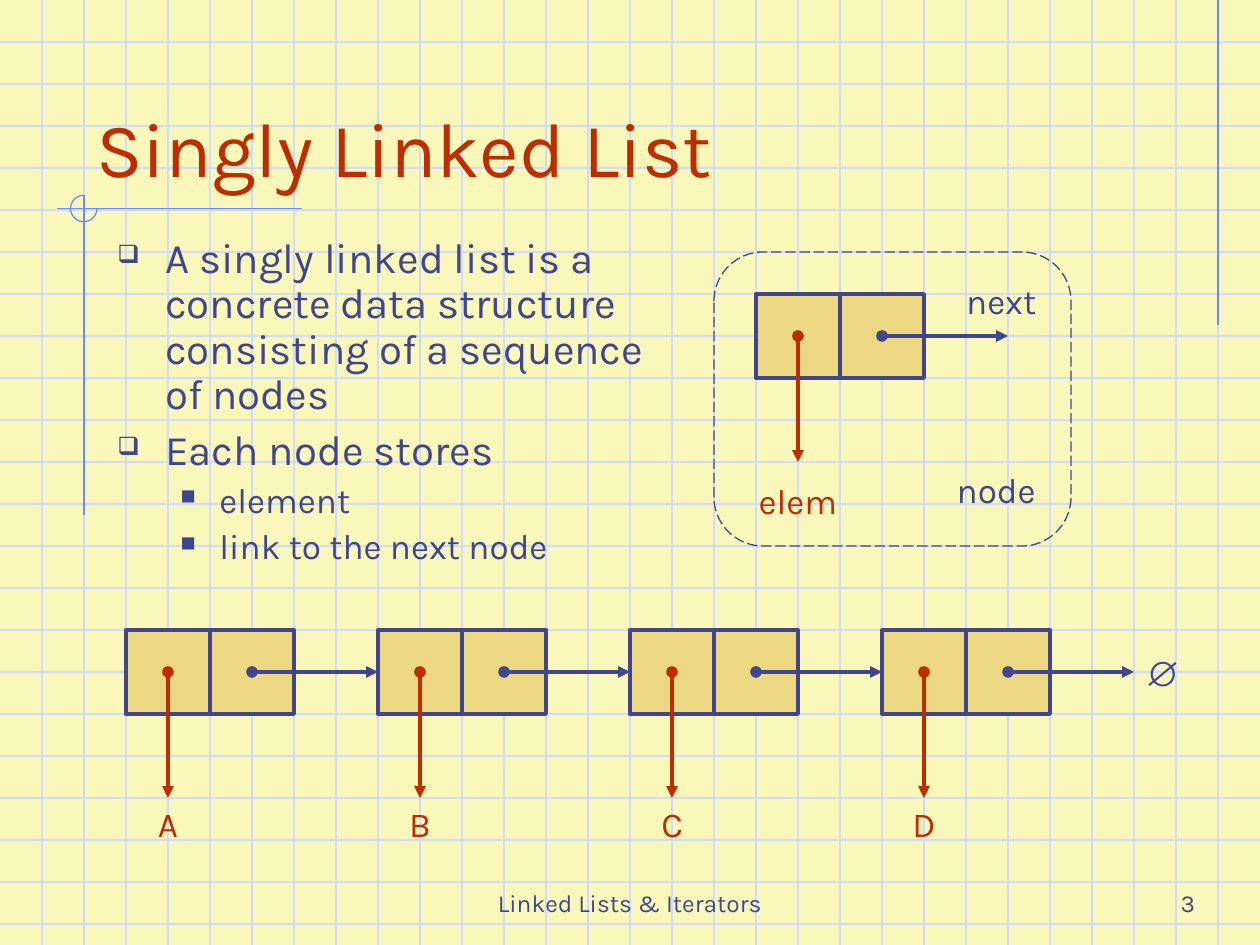
from lxml import etree
from pptx import Presentation, util as u
from pptx.dml.color import RGBColor
from pptx.enum import dml, shapes, text
from pptx.oxml import ns

COLORS = {"paper": "F9F8BA", "grid": "CFDBFD", "rule": "6F89F7",
          "ink": "40458C", "accent": "BE2D00", "node": "ECD882"}
COLUMNS, ROWS = 30, 22.5  # squares of the graph paper
THIN, THICK = 0.74, 2.24
CENTER = text.PP_ALIGN.CENTER
BOTTOM = text.MSO_ANCHOR.BOTTOM
BULLETS = [  # one entry per list level
    {"char": "\u2751", "size": 24, "left": 0.38, "hanging": 0.38, "before": 6},
    {"char": "\u25a0", "size": 20, "left": 0.81, "hanging": 0.31, "before": 5},
]


def grid(squares):
    """Turn a number of grid squares into a length."""
    return u.Inches(round(squares / 3, 4))


def color(name):
    """Look up a named colour."""
    return RGBColor.from_string(COLORS[name])


def apply(target, values):
    """Set every attribute in a dict of format values."""
    for name, value in values.items():
        setattr(target, name, value)


def add_xml(parent, tag, **attributes):
    """Append a DrawingML element and return it."""
    return etree.SubElement(parent, ns.qn("a:" + tag), attributes)


class GraphPaper:
    """Draws on a slide measured in columns and rows of squares."""

    font = "Karla"

    def __init__(self, presentation):
        """Add a blank slide with the paper colour."""
        self.slide = presentation.slides.add_slide(presentation.slide_layouts[6])
        fill = self.slide.background.fill
        fill.solid()
        fill.fore_color.rgb = color("paper")

    def line(self, start, end, ink, width=THIN, arrow=False):
        """Draw a line, or an arrow that starts at a dot."""
        connector = self.slide.shapes.add_connector(
            shapes.MSO_CONNECTOR.STRAIGHT, *map(grid, start + end))
        connector.line.color.rgb = color(ink)
        connector.line.width = u.Pt(width)
        if arrow:
            outline = connector.line._get_or_add_ln()
            add_xml(outline, "headEnd", type="oval")
            add_xml(outline, "tailEnd", type="triangle")
        add_xml(connector._element.spPr, "effectLst")

    def shape(self, kind, box, ink, width=THIN, fill=None, adjust=(), dash=None):
        """Draw an outlined preset shape."""
        shape = self.slide.shapes.add_shape(kind, *map(grid, box))
        shape.shadow.inherit = False
        for index, value in enumerate(adjust):
            shape.adjustments[index] = value
        if fill:
            shape.fill.solid()
            shape.fill.fore_color.rgb = color(fill)
        else:
            shape.fill.background()
        shape.line.color.rgb = color(ink)
        apply(shape.line, {"width": u.Pt(width), "dash_style": dash})

    def run(self, paragraph, words, size, ink="ink", font=None, bold=False):
        """Put one formatted run into a paragraph."""
        run = paragraph.add_run()
        run.text = words
        apply(run.font, {"name": font or self.font, "size": u.Pt(size), "bold": bold})
        run.font.color.rgb = color(ink)

    def frame(self, box, **layout):
        """Add an empty text box and return its text frame."""
        frame = self.slide.shapes.add_textbox(*map(grid, box)).text_frame
        apply(frame, {"word_wrap": True, **layout})
        return frame

    def text(self, box, words, size, ink="ink", align=None):
        """Set one line of text that stands on the bottom of its box."""
        paragraph = self.frame(box, vertical_anchor=BOTTOM).paragraphs[0]
        paragraph.alignment = align
        self.run(paragraph, words, size, ink)

    def label(self, center, top, words, width=1.2, ink="ink", **style):
        """Set a short label centred on a column."""
        frame = self.frame((center - width / 2, top, width, 1.32), word_wrap=False,
                           auto_size=text.MSO_AUTO_SIZE.SHAPE_TO_FIT_TEXT)
        frame.paragraphs[0].alignment = CENTER
        self.run(frame.paragraphs[0], words, 20, ink, **style)

    def bullets(self, box, items):
        """Set a list of (level, words) pairs."""
        frame = self.frame(box)
        for index, (level, words) in enumerate(items):
            paragraph = frame.add_paragraph() if index else frame.paragraphs[0]
            style = BULLETS[level]
            apply(paragraph, {"level": level, "line_spacing": 0.9,
                              "space_before": u.Pt(style["before"])})
            properties = paragraph._p.get_or_add_pPr()
            properties.set("marL", str(u.Inches(style["left"])))
            properties.set("indent", str(-u.Inches(style["hanging"])))
            add_xml(add_xml(properties, "buClr"), "srgbClr", val=COLORS["ink"])
            add_xml(properties, "buSzPct", val="60000")
            add_xml(properties, "buChar", char=style["char"])
            self.run(paragraph, words, style["size"])

    def node(self, column, row, drop):
        """Draw a two-cell node with its element and next arrows."""
        for offset in (0, 2):
            self.shape(shapes.MSO_SHAPE.RECTANGLE, (column + offset, row, 2, 2),
                       "ink", THICK, "node")
        middle = row + 1
        self.line((column + 1, middle), (column + 1, middle + drop), "accent", THICK, True)
        self.line((column + 3, middle), (column + 6, middle), "ink", THICK, True)

    def paper(self):
        """Draw the graph paper and its margin rules."""
        for row in range(1, int(ROWS) + 1):
            self.line((0, row), (COLUMNS, row), "grid")
        for column in range(1, COLUMNS):
            self.line((column, 0), (column, ROWS), "grid")
        for start, end in (((29, 0), (29, 7.74)), ((7.2, 4.97), (1.35, 4.97)),
                           ((2, 4.65), (2, 12.27))):
            self.line(start, end, "rule")
        self.shape(shapes.MSO_SHAPE.ARC, (1.68, 4.65, 0.63, 0.63), "rule",
                   adjust=(0, 162))


def main():
    """Build the slide and save it."""
    presentation = Presentation()
    apply(presentation, {"slide_width": grid(COLUMNS), "slide_height": grid(ROWS)})
    page = GraphPaper(presentation)
    page.paper()
    page.text((10.25, 20.5, 9.5, 1.5), "Linked Lists & Iterators", 14, align=CENTER)
    page.text((22.5, 20.5, 6.25, 1.5), "3", 14, align=text.PP_ALIGN.RIGHT)
    page.text((2, 1, 25.5, 3.75), "Singly Linked List", 44, "accent")
    page.bullets((2.5, 5.5, 13.5, 8.25), [
        (0, "A singly linked list is a concrete data structure "
            "consisting of a sequence of nodes"),
        (0, "Each node stores"),
        (1, "element"),
        (1, "link to the next node"),
    ])

    page.shape(shapes.MSO_SHAPE.ROUNDED_RECTANGLE, (17, 6, 8.5, 7), "ink",
               adjust=(0.167,), dash=dml.MSO_LINE.LONG_DASH)
    page.node(18, 7, drop=3)
    page.label(23.84, 6.5, "next", 2.31)
    page.label(19, 11.28, "elem", 2.52, "accent")
    page.label(23.72, 11, "node", 2.61)

    for index, element in enumerate("ABCD"):
        column = 3 + 6 * index
        page.node(column, 15, drop=3)
        page.label(column + 1, 18.96, element, ink="accent")
    page.label(27.57, 15.36, "\u2205", font="Arial", bold=True)
    presentation.save("out.pptx")


main()
